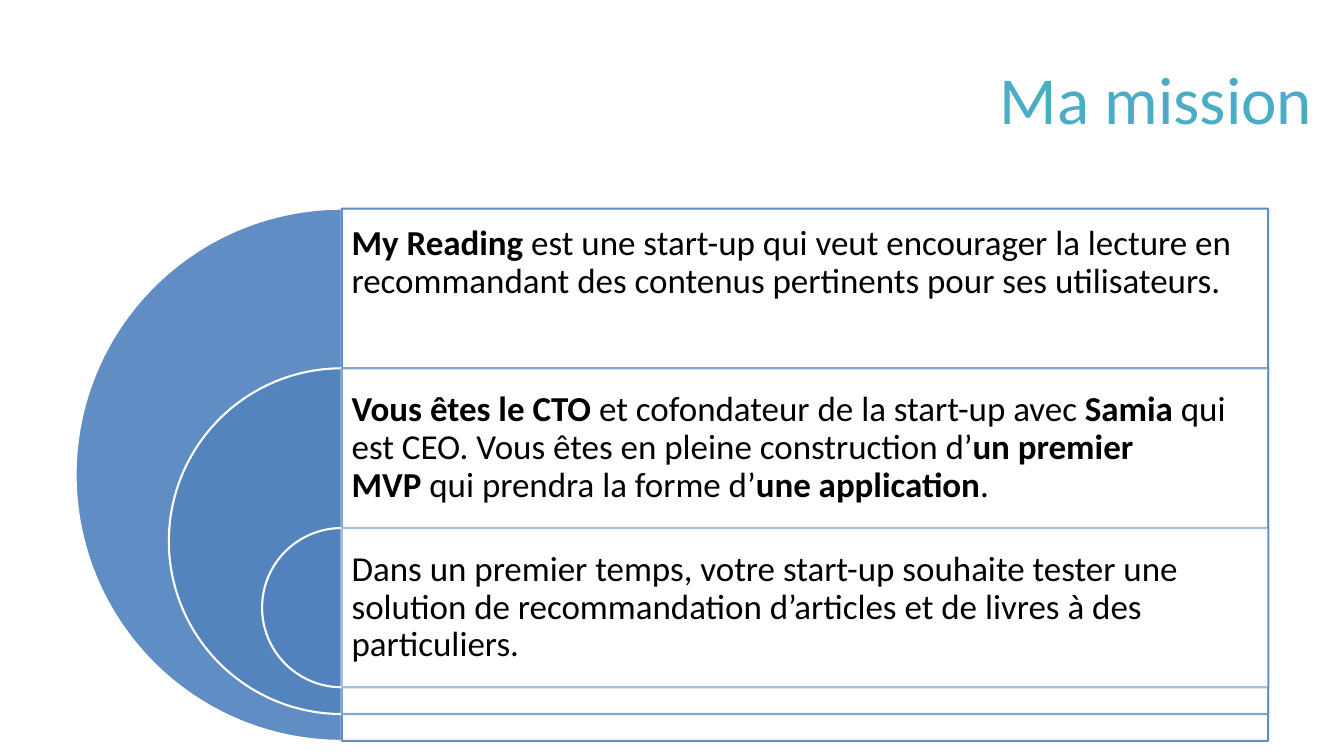
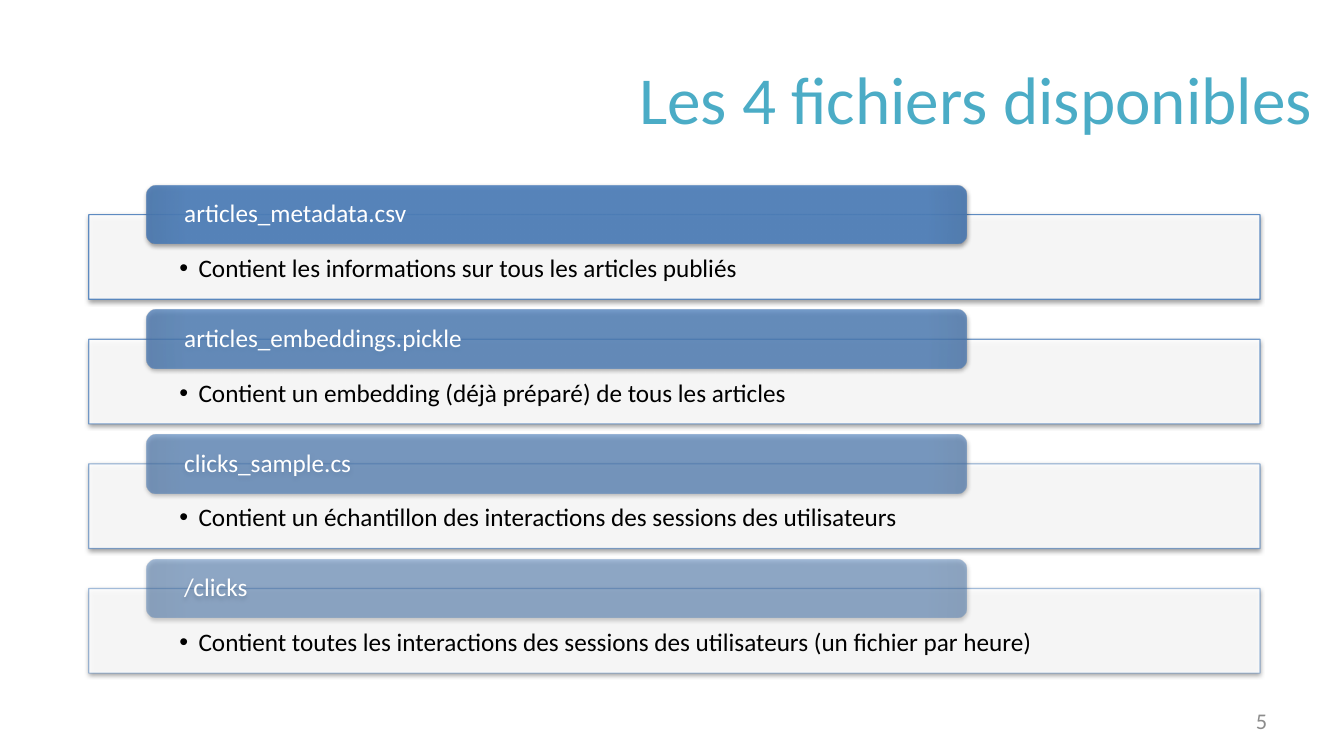
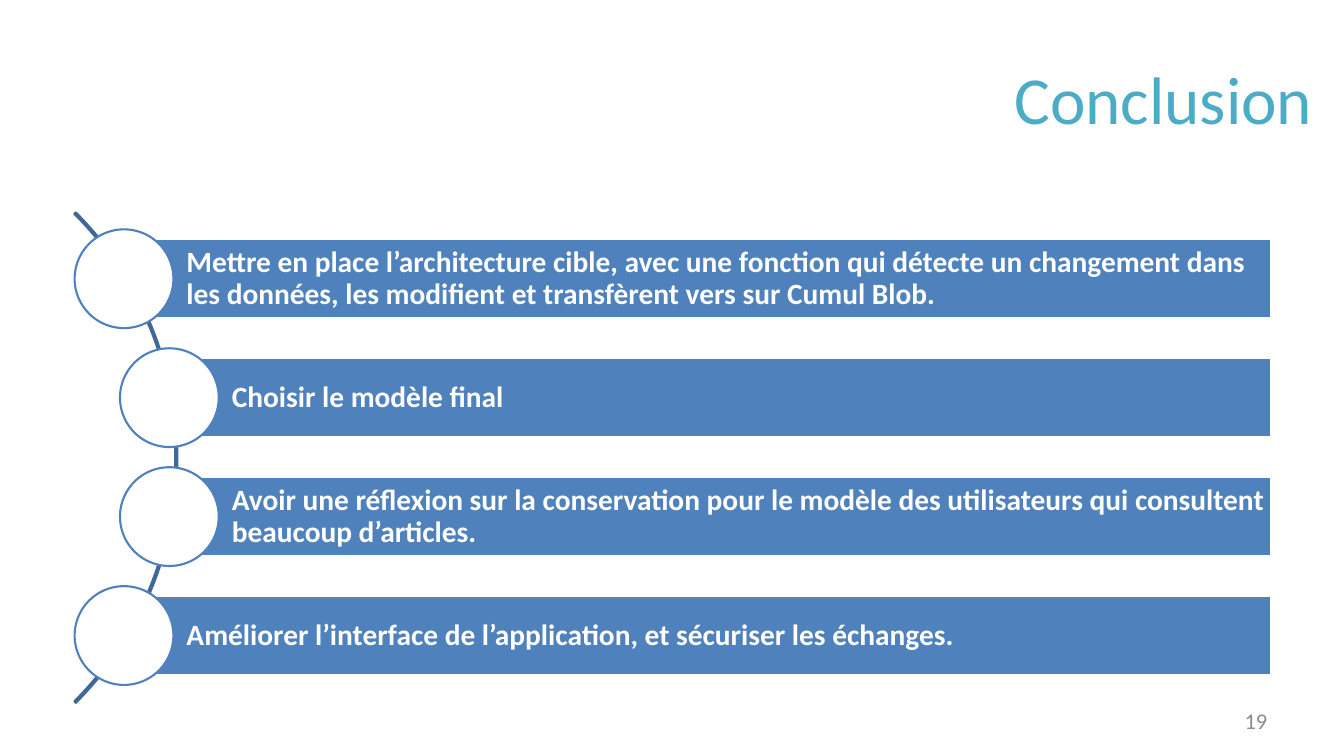
from dataclasses import dataclass

from lxml import etree
from pptx import Presentation
from pptx import util as u
from pptx.dml.color import RGBColor
from pptx.enum import shapes, text
from pptx.oxml import ns

# Grid: square cells of a tenth of an inch
CELL = u.Inches(0.1)
COLUMNS, ROWS = 133.33, 75
NO_BREAK_SPACE = chr(160)
KIND = shapes.MSO_SHAPE
ANCHOR = text.MSO_ANCHOR
ALIGN = text.PP_ALIGN


@dataclass(frozen=True)
class Theme:
    font: str = "Calibri"
    title: str = "4BACC6"
    blue: str = "4F81BD"
    blue_edge: str = "4A78B0"
    arc: str = "3F6797"
    white: str = "FFFFFF"
    black: str = "000000"
    grey: str = "8C8C8C"
    title_size: float = 48
    mission_size: float = 25
    step_size: float = 21
    file_size: float = 18
    number_size: float = 16
    line: float = 1.5
    thin_line: float = 0.79


THEME = Theme()


def cells(count):
    return round(count * CELL)


# XML helpers
def add_xml(parent, tag, **attributes):
    element = etree.SubElement(parent, ns.qn(tag))
    for name, value in attributes.items():
        element.set(name, str(value))
    return element


def add_color(parent, color, opacity):
    element = add_xml(parent, "a:srgbClr", val=color)
    add_xml(element, "a:alpha", val=round(opacity * 1000))


def set_opacity(properties, where, opacity):
    color = properties.find(f"{where}/{ns.qn('a:srgbClr')}")
    add_xml(color, "a:alpha", val=round(opacity * 1000))


def add_shadow(shape):
    effects = shape._element.spPr.find(ns.qn("a:effectLst"))
    shadow = add_xml(effects, "a:outerShdw", blurRad=u.Pt(3.15), dist=u.Pt(1.4),
                     dir=5400000, rotWithShape=0)
    add_color(shadow, THEME.black, 40)


def set_radial_fill(shape, opacity):
    shape.fill.background()
    properties = shape._element.spPr
    gradient = etree.Element(ns.qn("a:gradFill"), rotWithShape="1")
    stops = add_xml(gradient, "a:gsLst")
    for position, color in ((0, THEME.blue), (90, THEME.blue), (100, THEME.blue_edge)):
        add_color(add_xml(stops, "a:gs", pos=position * 1000), color, opacity)
    circle = add_xml(gradient, "a:path", path="circle")
    add_xml(circle, "a:fillToRect", l=100000, t=100000, r=100000, b=100000)
    properties.replace(properties.find(ns.qn("a:noFill")), gradient)


def set_bullet(paragraph, indent):
    properties = paragraph._p.get_or_add_pPr()
    properties.set("marL", str(cells(indent)))
    properties.set("indent", str(-cells(indent)))
    add_xml(properties, "a:buFont", typeface="Arial")
    add_xml(properties, "a:buChar", char="•")


# Elements
def add_shape(slide, kind, place, fill=None, fill_opacity=100,
              line=None, line_opacity=100, width=THEME.line, adjustments=()):
    shape = slide.shapes.add_shape(kind, *map(cells, place))
    shape.shadow.inherit = False
    for index, value in enumerate(adjustments):
        shape.adjustments[index] = value
    properties = shape._element.spPr
    if fill:
        shape.fill.solid()
        shape.fill.fore_color.rgb = RGBColor.from_string(fill)
        if fill_opacity < 100:
            set_opacity(properties, ns.qn("a:solidFill"), fill_opacity)
    else:
        shape.fill.background()
    if line:
        shape.line.color.rgb = RGBColor.from_string(line)
        shape.line.width = u.Pt(width)
        if line_opacity < 100:
            set_opacity(properties, f"{ns.qn('a:ln')}/{ns.qn('a:solidFill')}", line_opacity)
    else:
        shape.line.fill.background()
    return shape


def write(shape, runs, size, color, insets=(1, 0.5, 1, 0.5),
          anchor=ANCHOR.MIDDLE, align=ALIGN.LEFT, spacing=None):
    """Write (wording, bold) runs as the one paragraph of a shape."""
    frame = shape.text_frame
    frame.word_wrap = True
    frame.vertical_anchor = anchor
    (frame.margin_left, frame.margin_top,
     frame.margin_right, frame.margin_bottom) = map(cells, insets)
    paragraph = frame.paragraphs[0]
    paragraph.alignment = align
    if spacing:
        paragraph.line_spacing = spacing
    for wording, bold in runs:
        run = paragraph.add_run()
        run.text = wording
        run.font.name = THEME.font
        run.font.size = u.Pt(size)
        run.font.bold = bold
        run.font.color.rgb = RGBColor.from_string(color)
    return paragraph


def bind(*runs):
    """Tie alternating bold and plain runs together with no-break spaces."""
    for index, wording in enumerate(runs):
        if wording.startswith(" "):
            wording = NO_BREAK_SPACE + wording[1:]
        if wording.endswith(" "):
            wording = wording[:-1] + NO_BREAK_SPACE
        yield wording, index % 2 == 0


def add_slide(presentation, title):
    slide = presentation.slides.add_slide(presentation.slide_layouts[5])
    shape = slide.shapes.title
    shape.left, shape.top, shape.width, shape.height = map(cells, (11, 4.1, 120.2, 11.1))
    write(shape, [(title, False)], THEME.title_size, THEME.title, align=ALIGN.RIGHT)
    return slide


def add_number(slide, number):
    box = slide.shapes.add_textbox(*map(cells, (95.6, 69.5, 31.1, 4)))
    write(box, [(number, False)], THEME.number_size, THEME.grey, align=ALIGN.RIGHT)


# Slide parts
def add_nested_circles(slide, items):
    """Half discs nested at the bottom, each with its text box on the right."""
    axis, top, row, shrink = 33.9, 20.7, 15.84, 18.5
    for index, (runs, lift) in enumerate(items):
        diameter = 52.8 - shrink * index
        row_top = top + row * index
        opacity = 90 - 20 * index
        add_shape(slide, KIND.PIE, (axis - diameter / 2, row_top, diameter, diameter),
                  THEME.blue, opacity, THEME.white, adjustments=(54, 162))
        box = add_shape(slide, KIND.RECTANGLE, (axis, row_top, 91.9, diameter),
                        THEME.white, 90, THEME.blue, opacity)
        write(box, runs, THEME.mission_size, THEME.black,
              (1, 1, 1, 1 + lift + diameter - row), spacing=0.9)


def add_file_list(slide, files):
    """Framed descriptions, each with a file name tab across its top edge."""
    top, pitch, tab_height = 21.3, 12.36, 5.8
    for index, (name, description) in enumerate(files):
        frame_top = top + pitch * index
        opacity = 90 - 40 * index / (len(files) - 1)
        frame = add_shape(slide, KIND.RECTANGLE, (8.8, frame_top, 116.2, 8.4),
                          THEME.white, 90, THEME.blue, opacity, THEME.thin_line)
        add_shadow(frame)
        paragraph = write(frame, [(description, False)], THEME.file_size, THEME.black,
                          (9, 4.1, 9, 1.4), ANCHOR.TOP, spacing=0.9)
        set_bullet(paragraph, 1.9)
        tab = add_shape(slide, KIND.ROUNDED_RECTANGLE,
                        (14.6, frame_top - tab_height / 2, 81.3, tab_height))
        set_radial_fill(tab, opacity)
        add_shadow(tab)
        write(tab, [(name, False)], THEME.file_size, THEME.white,
              (3.4, 0, 3.4, 0), spacing=0.9)


def add_curved_steps(slide, steps):
    """Bars with round markers that follow an arc on the left."""
    top, pitch, height, right, diameter = 23.7, 11.8, 7.9, 126.1, 9.8
    add_shape(slide, KIND.BLOCK_ARC, (-51.2, 11, 68.8, 68.8), line=THEME.arc,
              adjustments=(189, 27, 0.003))
    for index, wording in enumerate(steps):
        outer = index in (0, len(steps) - 1)
        left = 12.3 if outer else 16.8
        bar_top = top + pitch * index
        bar = add_shape(slide, KIND.RECTANGLE, (left, bar_top, right - left, height),
                        THEME.blue, line=THEME.white)
        write(bar, [(wording, True)], THEME.step_size, THEME.white,
              (6.2, 0.6, 0.6, 0.6), spacing=0.9)
        add_shape(slide, KIND.OVAL,
                  (left - diameter / 2, bar_top + (height - diameter) / 2, diameter, diameter),
                  THEME.white, line=THEME.blue)


def main():
    presentation = Presentation()
    presentation.slide_width = cells(COLUMNS)
    presentation.slide_height = cells(ROWS)

    # Mission
    slide = add_slide(presentation, "Ma mission")
    add_nested_circles(slide, [
        (bind("My Reading", " est une start-up qui veut encourager la lecture en "
              "recommandant des contenus pertinents pour ses utilisateurs."), 5),
        (bind("Vous êtes le CTO", " et cofondateur de la start-up avec ", "Samia",
              " qui est CEO. Vous êtes en pleine construction d’", "un premier MVP",
              " qui prendra la forme d’", "une application", "."), 0),
        ([("Dans un premier temps, votre start-up souhaite tester une solution de "
           "recommandation d’articles et de livres à des particuliers.", False)], 0),
    ])

    # Files
    slide = add_slide(presentation, "Les 4 fichiers disponibles")
    add_number(slide, "5")
    add_file_list(slide, [
        ("articles_metadata.csv", "Contient les informations sur tous les articles publiés"),
        ("articles_embeddings.pickle",
         "Contient un embedding (déjà préparé) de tous les articles"),
        ("clicks_sample.cs",
         "Contient un échantillon des interactions des sessions des utilisateurs"),
        ("/clicks", "Contient toutes les interactions des sessions des utilisateurs "
                    "(un fichier par heure)"),
    ])

    # Conclusion
    slide = add_slide(presentation, "Conclusion")
    add_curved_steps(slide, [
        "Mettre en place l’architecture cible, avec une fonction qui détecte un changement "
        "dans les données, les modifient et transfèrent vers sur Cumul Blob.",
        "Choisir le modèle final",
        "Avoir une réflexion sur la conservation pour le modèle des utilisateurs qui "
        "consultent beaucoup d’articles.",
        "Améliorer l’interface de l’application, et sécuriser les échanges.",
    ])
    add_number(slide, "19")

    presentation.save("out.pptx")


if __name__ == "__main__":
    main()
